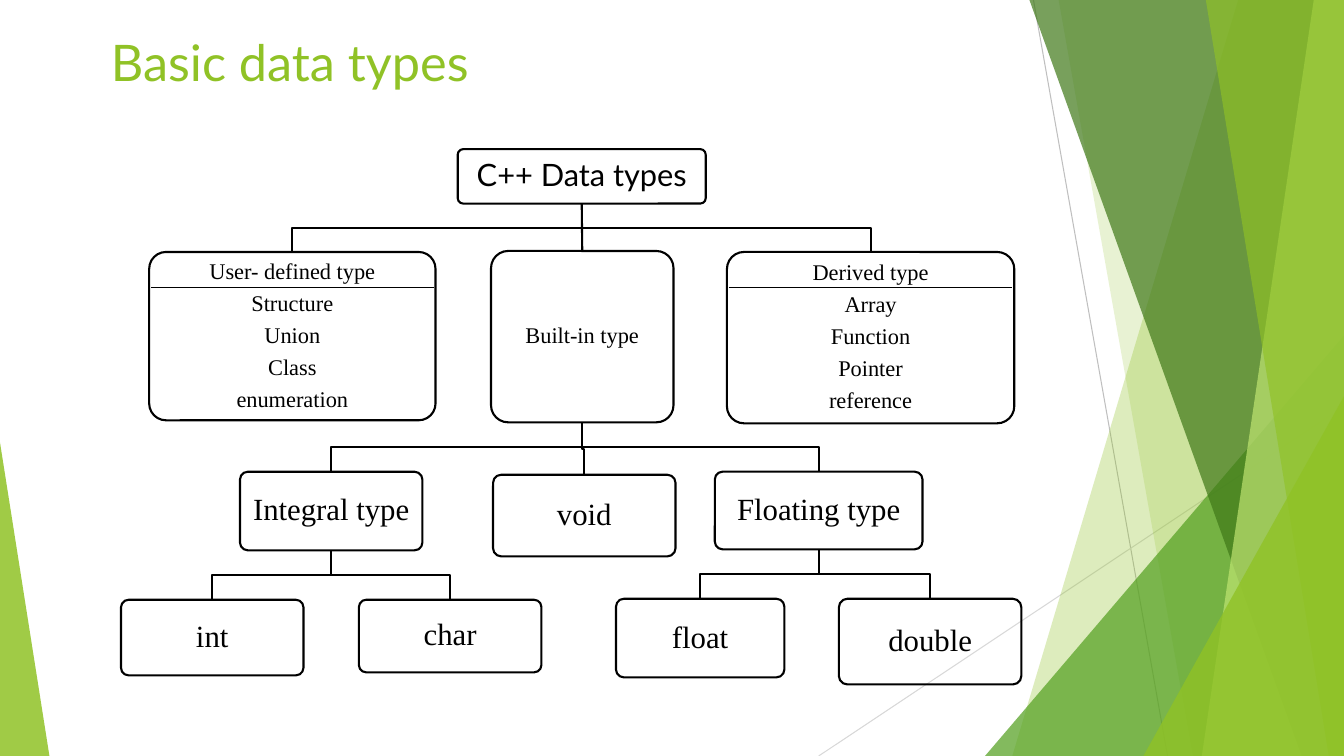
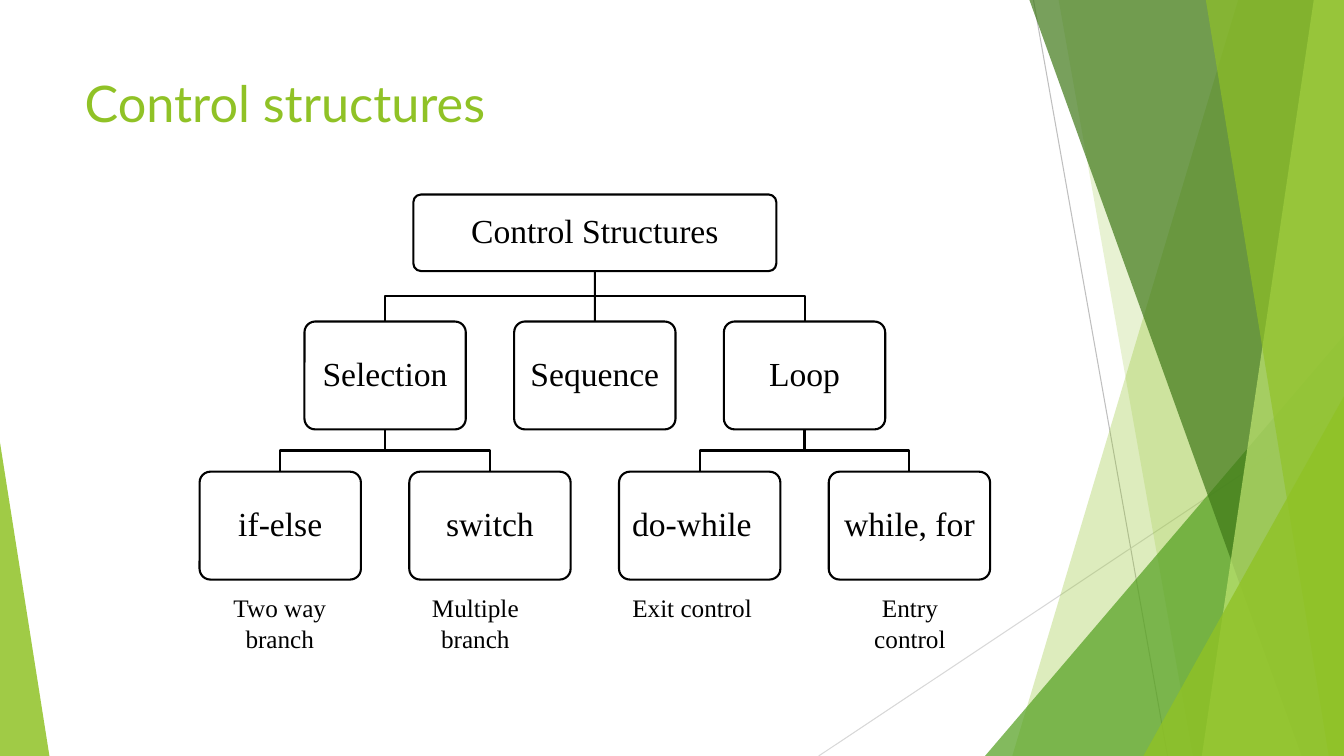
from lxml import etree
from pptx import Presentation
from pptx.dml.color import RGBColor
from pptx.enum import shapes as es, text as et
from pptx.oxml.ns import qn
from pptx.util import Inches, Pt

W, H = 13.33, 7.5
GREEN, BLACK = "90C226", "000000"
SANS, SERIF = "Lato", "Times New Roman"
LEFT, CENTER = et.PP_ALIGN.LEFT, et.PP_ALIGN.CENTER


def rgb(code):
    return RGBColor.from_string(code)


def set_line(sp, color, width):
    sp.line.color.rgb = rgb(color)
    sp.line.width = Pt(width)


def add_line(shapes, x1, y1, x2, y2, color, width):
    """Straight line between two points given in EMU."""
    cx = shapes.add_connector(es.MSO_CONNECTOR.STRAIGHT, x1, y1, x2, y2)
    set_line(cx, color, width)
    etree.SubElement(cx.element.spPr, qn("a:effectLst"))
    return cx


def tint(sp, color, opacity):
    """Borderless fill with opacity in percent."""
    sp.shadow.inherit = False
    sp.fill.solid()
    sp.fill.fore_color.rgb = rgb(color)
    clr = sp.element.spPr.find(".//" + qn("a:srgbClr"))
    etree.SubElement(clr, qn("a:alpha"), val=str(opacity * 1000))
    sp.line.fill.background()


def add_band(shapes, top, bottom, color, opacity):
    """Full-height band from a slanted left edge to the right slide edge."""
    fb = shapes.build_freeform(Inches(top), 0)
    fb.add_line_segments([(Inches(x), Inches(y)) for x, y in
                          ((W, 0), (W, H), (bottom, H))])
    tint(fb.convert_to_shape(), color, opacity)


def add_corner(shapes, x, y, w, apex, color, opacity):
    """Triangle standing on the bottom edge; apex 0 is left, 1 is right."""
    sp = shapes.add_shape(es.MSO_SHAPE.ISOSCELES_TRIANGLE,
                          Inches(x), Inches(y), Inches(w), Inches(H - y))
    sp.adjustments[0] = apex
    tint(sp, color, opacity)


def decorate_master(prs, slide):
    """Draw the facets on a slide, then hand them to the slide master."""
    group = slide.shapes.add_group_shape()
    shapes = group.shapes
    for x1, y1, x2, y2, color in ((10.25, 0, 11.58, H, "BFBFBF"),
                                  (W, 4.03, 8.12, H, "D8D8D8")):
        add_line(shapes, Inches(x1), Inches(y1), Inches(x2), Inches(y2), color, 0.75)
    add_band(shapes, 12.28, 10.04, GREEN, 30)
    add_band(shapes, 10.5, 11.83, GREEN, 20)
    add_corner(shapes, 9.77, 3.33, 3.56, 1, "54A021", 72)
    add_band(shapes, 10.21, 12.91, "3F7818", 70)
    add_band(shapes, 13.03, 11.92, "BFE471", 70)
    add_band(shapes, 11.96, 13.18, GREEN, 65)
    add_corner(shapes, 11.34, 3.93, 1.99, 1, GREEN, 80)
    add_corner(shapes, 0, 4.39, 0.49, 0, GREEN, 85)
    for i, props in enumerate(group.element.iter(qn("p:cNvPr"))):
        props.set("id", str(100 + i))
    prs.slide_master.element.cSld.spTree.insert(2, group.element)


def write(p, text, size, font, color, align):
    p.alignment = align
    r = p.add_run()
    r.text = text
    r.font.size = Pt(size)
    r.font.name = font
    r.font.color.rgb = rgb(color)


def set_title(slide, text, x, y, w, h):
    sp = slide.shapes.title
    sp.left, sp.top, sp.width, sp.height = map(Inches, (x, y, w, h))
    tf = sp.text_frame
    tf.auto_size = et.MSO_AUTO_SIZE.NONE
    tf.vertical_anchor = et.MSO_ANCHOR.TOP
    write(tf.paragraphs[0], text, 36, SANS, GREEN, LEFT)


def add_node(slide, lines, x, y, w, h, size=22, font=SERIF, align=CENTER, inset=0.09):
    """Rounded outline box with one paragraph for each line."""
    sp = slide.shapes.add_shape(es.MSO_SHAPE.ROUNDED_RECTANGLE,
                                Inches(x), Inches(y), Inches(w), Inches(h))
    sp.adjustments[0] = 0.1
    sp.shadow.inherit = False
    sp.fill.background()
    set_line(sp, BLACK, 1.5)
    tf = sp.text_frame
    tf.word_wrap = True
    tf.vertical_anchor = et.MSO_ANCHOR.MIDDLE
    tf.margin_left = tf.margin_right = tf.margin_top = tf.margin_bottom = Inches(inset)
    for i, line in enumerate(lines):
        p = tf.add_paragraph() if i else tf.paragraphs[0]
        p.line_spacing = 0.9
        if i:
            p.space_before = Pt(5.6)
        write(p, line, size, font, BLACK, align)
    return sp


def add_branches(slide, parent, children):
    """Join the bottom of a parent to the top of each child."""
    x1, y1 = parent.left + parent.width // 2, parent.top + parent.height
    for child in children:
        x2, y2 = child.left + child.width // 2, child.top
        if abs(x1 - x2) < Inches(0.01):
            cx = add_line(slide.shapes, x1, y1, x2, y2, BLACK, 1.5)
            cx.begin_connect(parent, 2)
            cx.end_connect(child, 0)
            continue
        mid = (y1 + y2) // 2
        fb = slide.shapes.build_freeform(x1, y1)
        fb.add_line_segments([(x1, mid), (x2, mid), (x2, y2)], close=False)
        sp = fb.convert_to_shape()
        sp.shadow.inherit = False
        sp.fill.background()
        set_line(sp, BLACK, 1.5)


def add_header_rule(slide, box, drop):
    """Thin line under the first text line of a box."""
    gap, y = Inches(0.02), box.top + Inches(drop)
    add_line(slide.shapes, box.left + gap, y, box.left + box.width - gap, y, BLACK, 1)


def add_caption(slide, text, x, y, w=1.51, h=0.71):
    sp = slide.shapes.add_textbox(Inches(x), Inches(y), Inches(w), Inches(h))
    sp.text_frame.word_wrap = True
    write(sp.text_frame.paragraphs[0], text, 18, SERIF, BLACK, CENTER)


def data_types_slide(slide):
    set_title(slide, "Basic data types", 1, 0.26, 11.33, 1.31)
    root = add_node(slide, ["C++ Data types"], 4.54, 1.48, 2.46, 0.54, font=SANS)
    small = dict(size=16, inset=0.07)
    user = add_node(slide, ["User- defined type", "Structure", "Union", "Class",
                            "enumeration"], 1.48, 2.5, 2.84, 1.67, **small)
    built_in = add_node(slide, ["Built-in type"], 4.87, 2.49, 1.81, 1.7, **small)
    derived = add_node(slide, ["Derived type", "Array", "Function", "Pointer",
                               "reference"], 7.21, 2.5, 2.85, 1.7, **small)
    integral = add_node(slide, ["Integral type"], 2.38, 4.68, 1.81, 0.78)
    void = add_node(slide, ["void"], 4.89, 4.71, 1.81, 0.81)
    floating = add_node(slide, ["Floating type"], 7.09, 4.68, 2.06, 0.77)
    integral_kinds = [add_node(slide, ["int"], 1.2, 5.95, 1.81, 0.75),
                      add_node(slide, ["char"], 3.56, 5.95, 1.81, 0.72)]
    floating_kinds = [add_node(slide, ["float"], 6.11, 5.94, 1.67, 0.78),
                      add_node(slide, ["double"], 8.32, 5.94, 1.81, 0.85)]
    add_branches(slide, root, [user, built_in, derived])
    add_branches(slide, built_in, [integral, void, floating])
    add_branches(slide, integral, integral_kinds)
    add_branches(slide, floating, floating_kinds)
    for box in (user, derived):
        add_header_rule(slide, box, 0.35)


def control_slide(slide):
    set_title(slide, "Control structures", 0.74, 0.67, 9.4, 1.44)
    w, h, pitch = 1.6, 1.07, 2.08
    style = dict(size=24, inset=0.1)

    def add_row(names, x, y):
        return [add_node(slide, [name], x + i * pitch, y, w, h, **style,
                         align=LEFT if name == "do-while" else CENTER)
                for i, name in enumerate(names)]

    root = add_node(slide, ["Control Structures"], 4.1, 1.93, 3.6, 0.76, **style)
    kinds = add_row(["Selection", "Sequence", "Loop"], 3.02, 3.19)
    leaves = add_row(["if-else", "switch", "do-while", "while, for"], 1.98, 4.68)
    add_branches(slide, root, kinds)
    add_branches(slide, kinds[0], leaves[:2])
    add_branches(slide, kinds[2], leaves[2:])
    for text, x in (("Two way branch", 2.02), ("Multiple branch", 3.96),
                    ("Exit control", 6.11), ("Entry control", 8.27)):
        add_caption(slide, text, x, 5.83)


def main():
    prs = Presentation()
    prs.slide_width, prs.slide_height = Inches(W), Inches(H)
    title_only = prs.slide_layouts[5]
    slides = [prs.slides.add_slide(title_only) for _ in range(2)]
    decorate_master(prs, slides[0])
    data_types_slide(slides[0])
    control_slide(slides[1])
    prs.save("out.pptx")


if __name__ == "__main__":
    main()
